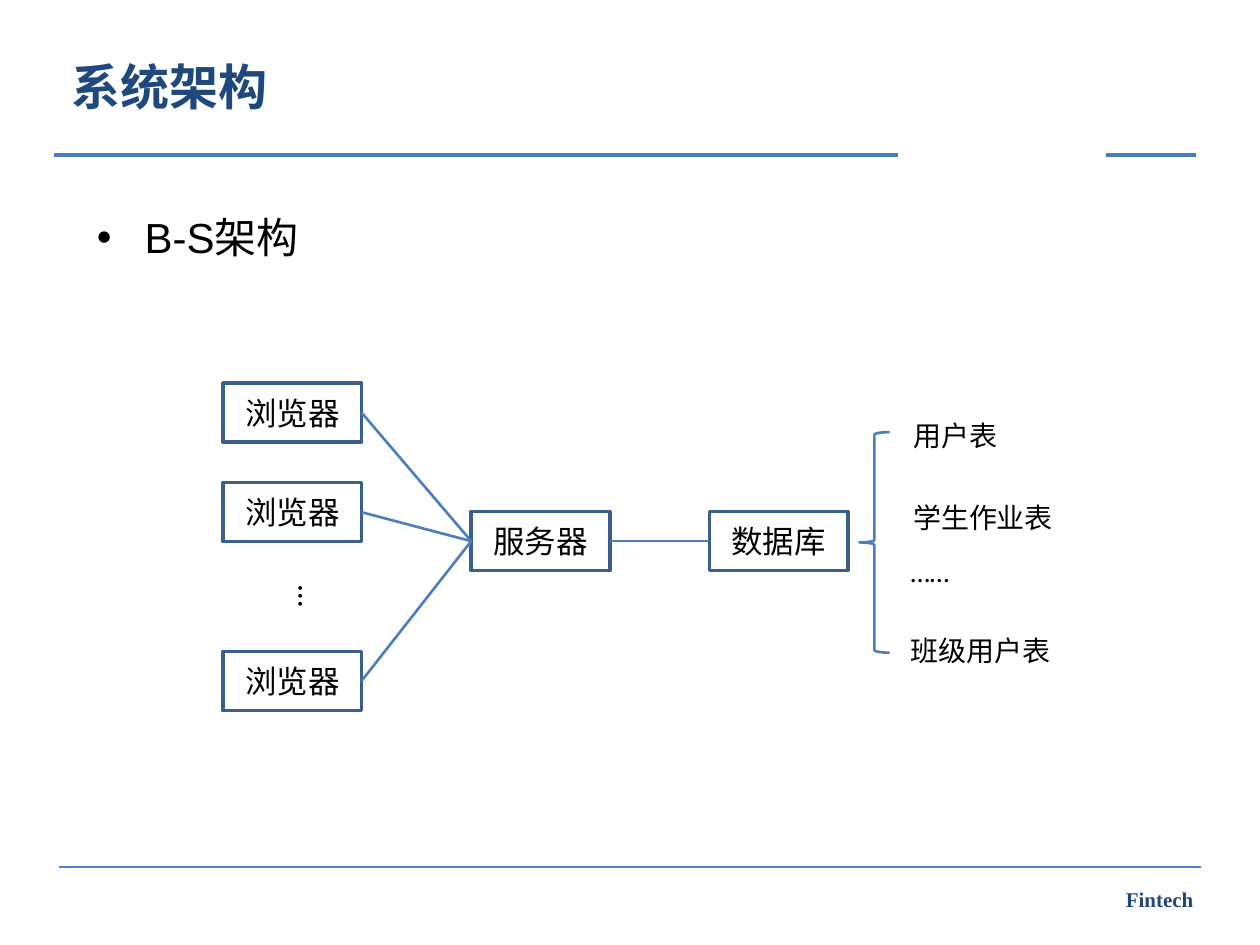
import pptx
import pptx.util
import pptx.dml.color
import pptx.enum.shapes
import pptx.enum.text
import pptx.oxml.ns
from lxml import etree

Inches, Pt = pptx.util.Inches, pptx.util.Pt
MSO = pptx.enum.shapes.MSO_SHAPE
ALIGN = pptx.enum.text.PP_ALIGN
ANCHOR = pptx.enum.text.MSO_ANCHOR
qn = pptx.oxml.ns.qn
rgb = pptx.dml.color.RGBColor.from_string

NAVY, BLUE, BORDER, BLACK = "1F497D", "4B7EBC", "3A5F8C", "000000"

prs = pptx.Presentation()
prs.slide_width, prs.slide_height = Inches(10), Inches(7.5)
s = prs.slides.add_slide(prs.slide_layouts[6])


def add_text(text, x, y, w, h, size, font="Calibri", color=BLACK, bold=False, wrap=True):
    tb = s.shapes.add_textbox(Inches(x), Inches(y), Inches(w), Inches(h))
    tf = tb.text_frame
    tf.word_wrap = wrap
    tf.text = text
    f = tf.paragraphs[0].runs[0].font
    f.size, f.name, f.bold = Pt(size), font, bold
    f.color.rgb = rgb(color)
    return tf


def add_line(x1, y1, x2, y2, width, color=BLUE):
    cn = s.shapes.add_connector(pptx.enum.shapes.MSO_CONNECTOR.STRAIGHT,
                                Inches(x1), Inches(y1), Inches(x2), Inches(y2))
    cn.line.color.rgb = rgb(color)
    cn.line.width = Pt(width)
    etree.SubElement(cn._element.spPr, qn("a:effectLst"))


# Footer and header rules
add_line(0.47, 6.88, 9.53, 6.88, 1, "4F81BD")
tf = add_text("Fintech", 7.6, 6.99, 1.97, 0.3, 12, "Times New Roman", NAVY, True)
tf.paragraphs[0].alignment = ALIGN.RIGHT
add_line(0.43, 1.23, 7.13, 1.23, 2.25)
add_line(8.78, 1.23, 9.49, 1.23, 2.25)

# Title
tf = add_text("系统架构", 0.47, 0.3, 9.06, 0.77, 28, "Arial", NAVY, True)
tf.vertical_anchor = ANCHOR.MIDDLE

# Bullet
tf = add_text("B-S架构", 0.67, 1.55, 8.5, 4.5, 24, "Arial")
p = tf.paragraphs[0]
p.alignment = ALIGN.JUSTIFY
p.line_spacing = 1.2
p.space_before = Pt(4.8)
pPr = p._p.get_or_add_pPr()
pPr.set("marL", str(Inches(0.38)))
pPr.set("indent", str(-Inches(0.38)))
etree.SubElement(pPr, qn("a:buFont"), typeface="Arial")
etree.SubElement(pPr, qn("a:buChar"), char="•")

# Browser, server and database boxes
box_w, box_h = 1.1, 0.47
browser_x, server_x, database_x, middle_y = 1.77, 3.74, 5.63, 4.06
browser_ys = [3.04, 3.83, 5.17]
boxes = [("浏览器", browser_x, y) for y in browser_ys]
boxes += [("服务器", server_x, middle_y), ("数据库", database_x, middle_y)]
for text, x, y in boxes:
    sp = s.shapes.add_shape(MSO.RECTANGLE, Inches(x), Inches(y), Inches(box_w), Inches(box_h))
    sp.shadow.inherit = False
    sp.fill.background()
    sp.line.color.rgb = rgb(BORDER)
    sp.line.width = Pt(2)
    tf = sp.text_frame
    tf.text = text
    tf.vertical_anchor = ANCHOR.MIDDLE
    p = tf.paragraphs[0]
    p.alignment = ALIGN.CENTER
    r = p.runs[0]
    r.font.size, r.font.name = Pt(18), "Calibri"
    r.font.color.rgb = rgb(BLACK)

# Vertical ellipsis between browsers
tf = add_text("…", 2.17, 4.55, 0.5, 0.3, 18, wrap=False)
tf._txBody.bodyPr.set("vert", "eaVert")

# Links between boxes
center_y = middle_y + box_h / 2
for y in browser_ys:
    add_line(browser_x + box_w, y + box_h / 2, server_x, center_y, 1.5)
add_line(database_x, center_y, server_x + box_w, center_y, 1.5)

# Brace and table names
sp = s.shapes.add_shape(MSO.LEFT_BRACE, Inches(6.82), Inches(3.43), Inches(0.24), Inches(1.75))
sp.shadow.inherit = False
sp.fill.background()
sp.line.color.rgb = rgb(BLUE)
sp.line.width = Pt(1.5)
for text, x, y, w in [("用户表", 7.15, 3.27, 0.88), ("学生作业表", 7.15, 3.92, 1.32),
                      ("……", 7.13, 4.35, 0.56), ("班级用户表", 7.13, 4.98, 1.32)]:
    add_text(text, x, y, w, 0.37, 16, wrap=False)

prs.save("out.pptx")
